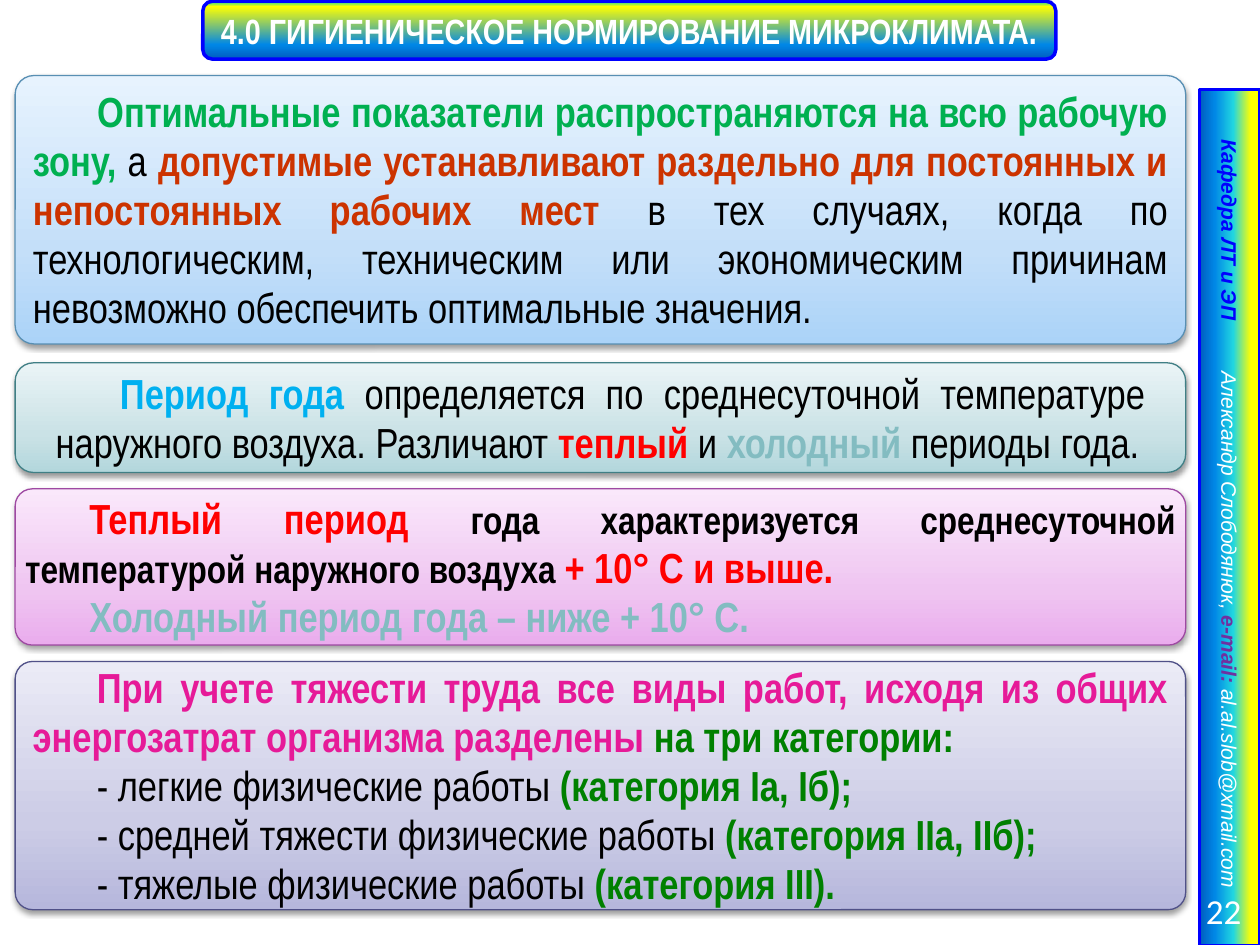
from lxml import etree
from pptx import Presentation
from pptx.dml.color import RGBColor
from pptx.enum.shapes import MSO_SHAPE
from pptx.enum.text import MSO_ANCHOR, PP_ALIGN
from pptx.oxml.ns import qn
from pptx.util import Inches, Pt

ROUNDED, RECT = MSO_SHAPE.ROUNDED_RECTANGLE, MSO_SHAPE.RECTANGLE
MIDDLE = MSO_ANCHOR.MIDDLE
LEFT, CENTER, RIGHT, JUSTIFY = PP_ALIGN.LEFT, PP_ALIGN.CENTER, PP_ALIGN.RIGHT, PP_ALIGN.JUSTIFY
BLACK, WHITE, BLUE, RED = "000000", "FFFFFF", "0000FF", "FF0000"
GREEN, TEAL = "008000", "83BCC1"


def color(value):
    return RGBColor.from_string(value)


def add_child(parent, tag, **attributes):
    element = etree.SubElement(parent, qn(tag))
    for key, value in attributes.items():
        element.set(key, str(value))
    return element


class SlideBuilder:
    narrow = "Arial Narrow"
    body_size = 24
    panel_left, panel_width = 0.12, 9.29

    def __init__(self, slide):
        self.slide = slide

    def box(self, kind, bounds, stops, angle, line, line_width, radius=None):
        shape = self.slide.shapes.add_shape(kind, *map(Inches, bounds))
        if radius is not None:
            shape.adjustments[0] = radius
        shape.shadow.inherit = False
        shape.fill.gradient()
        shape.fill.gradient_angle = angle
        stop_list = next(shape._element.iter(qn("a:gsLst")))
        for stop in list(stop_list):
            stop_list.remove(stop)
        for position, value in stops:
            stop = add_child(stop_list, "a:gs", pos=position * 1000)
            add_child(stop, "a:srgbClr", val=value)
        shape.line.color.rgb = color(line)
        shape.line.width = Pt(line_width)
        return shape

    def frame(self, shape, side, edge):
        frame = shape.text_frame
        frame.word_wrap = True
        frame.vertical_anchor = MIDDLE
        frame.margin_left = frame.margin_right = Inches(side)
        frame.margin_top = frame.margin_bottom = Inches(edge)
        return frame

    def fill_paragraph(self, paragraph, runs, align, font, size):
        paragraph.alignment = align
        paragraph.font.name = font
        paragraph.font.size = Pt(size)
        for text, value, bold, *own_size in runs:
            run = paragraph.add_run()
            run.text = text
            run.font.color.rgb = color(value)
            run.font.bold = bold
            if own_size:
                run.font.size = Pt(own_size[0])

    def panel(self, top, height, radius, tints, line, side, paragraphs):
        bounds = (self.panel_left, top, self.panel_width, height)
        shape = self.box(ROUNDED, bounds, zip((0, 35, 100), tints), 90, line, 0.75, radius)
        effects = shape._element.spPr.find(qn("a:effectLst"))
        shadow = add_child(effects, "a:outerShdw", blurRad=Pt(3.1), dist=Pt(1.6),
                           dir=5400000, rotWithShape=0)
        add_child(add_child(shadow, "a:srgbClr", val=BLACK), "a:alpha", val=38000)
        frame = self.frame(shape, side, 0.04)
        for index, runs in enumerate(paragraphs):
            paragraph = frame.add_paragraph() if index else frame.paragraphs[0]
            self.fill_paragraph(paragraph, runs, JUSTIFY, self.narrow, self.body_size)
            paragraph.line_spacing = Pt(28)
            paragraph._p.get_or_add_pPr().set("indent", str(Inches(0.51)))

    def title(self, text):
        stops = ((0, "03D4A8"), (9, "FFFF00"), (75, "0087E6"), (100, "005CBF"))
        shape = self.box(ROUNDED, (1.61, 0.01, 6.77, 0.46), stops, 270, BLUE, 2)
        frame = self.frame(shape, 0.04, 0.04)
        self.fill_paragraph(frame.paragraphs[0], [(text, WHITE, True)], CENTER, self.narrow, 20)

    def sidebar(self, runs):
        stops = ((15, "FFFF00"), (44, "21D6E0"), (75, "0087E6"), (100, "005CBF"))
        shape = self.box(RECT, (6.36, 3.87, 6.8, 0.48), stops, 270, BLUE, 2)
        shape.rotation = 90
        frame = self.frame(shape, 0.1, 0.05)
        frame.margin_left = Inches(0.4)
        paragraph = frame.paragraphs[0]
        self.fill_paragraph(paragraph, runs, LEFT, "Arial", 12)
        paragraph.font.italic = True
        tabs = etree.Element(qn("a:tabLst"))
        add_child(tabs, "a:tab", pos=Inches(1.84), algn="l")
        paragraph._p.get_or_add_pPr().insert(0, tabs)

    def page_number(self, text):
        box = self.slide.shapes.add_textbox(*map(Inches, (8.86, 7.03, 1.09, 0.4)))
        frame = self.frame(box, 0.1, 0.05)
        self.fill_paragraph(frame.paragraphs[0], [(text, WHITE, False)], RIGHT, "Calibri", 20)


def main():
    deck = Presentation()
    deck.slide_width, deck.slide_height = Inches(10), Inches(7.5)
    page = SlideBuilder(deck.slides.add_slide(deck.slide_layouts[6]))

    page.panel(0.6, 2.13, 0.07, ("ABD3F8", "C4DFF9", "E7F3FE"), "588FB3", 0.1, [[
        ("Оптимальные показатели распространяются на всю рабочую зону, ", "00B050", True),
        ("а ", BLACK, False),
        ("допустимые устанавливают раздельно для постоянных и непостоянных рабочих мест ",
         "CC3300", True),
        ("в тех случаях, когда по технологическим, техническим или экономическим причинам "
         "невозможно обеспечить оптимальные значения.", BLACK, False),
    ]])
    page.panel(2.88, 0.87, None, ("B3D7DC", "CAE2E6", "EAF4F6"), "407F85", 0.28, [[
        ("Период года ", "00B0F0", True),
        ("определяется по среднесуточной температуре наружного воздуха. Различают ",
         BLACK, False),
        ("теплый ", RED, True),
        ("и ", BLACK, False),
        ("холодный", TEAL, True),
        (" периоды года.", BLACK, False),
    ]])
    page.panel(3.88, 1.24, 0.11, ("EAACED", "EFC5F1", "FAE8FB"), "9E49A2", 0.04, [
        [("Теплый период ", RED, True),
         ("года характеризуется среднесуточной температурой наружного воздуха ",
          BLACK, True, 22),
         ("+ 10° С и выше.", RED, True)],
        [("Холодный период года – ниже + 10° С.", TEAL, True)],
    ])
    categories = (("легкие", "Iа, Iб);"), ("средней тяжести", "IIа, IIб);"),
                  ("тяжелые", "III)."))
    page.panel(5.25, 1.97, 0.07, ("B6B7DC", "CCCCE6", "EBEBF6"), "505188", 0.1, [
        [("При учете тяжести труда все виды работ, исходя из общих энергозатрат "
          "организма разделены ", "E61A98", True),
         ("на три категории:", GREEN, True)],
        *[[(f"- {load} физические работы ", BLACK, False),
           (f"(категория {category}", GREEN, True)] for load, category in categories],
    ])
    page.title("4.0 ГИГИЕНИЧЕСКОЕ НОРМИРОВАНИЕ МИКРОКЛИМАТА.")
    page.sidebar([
        ("Кафедра ЛТ и ЭП\t", BLUE, True),
        ("Александр Слободянюк, ", WHITE, False),
        ("e-mail: ", "7030A0", True),
        ("al.al.slob@xmail.com", WHITE, False),
    ])
    page.page_number("22")
    deck.save("out.pptx")


if __name__ == "__main__":
    main()
